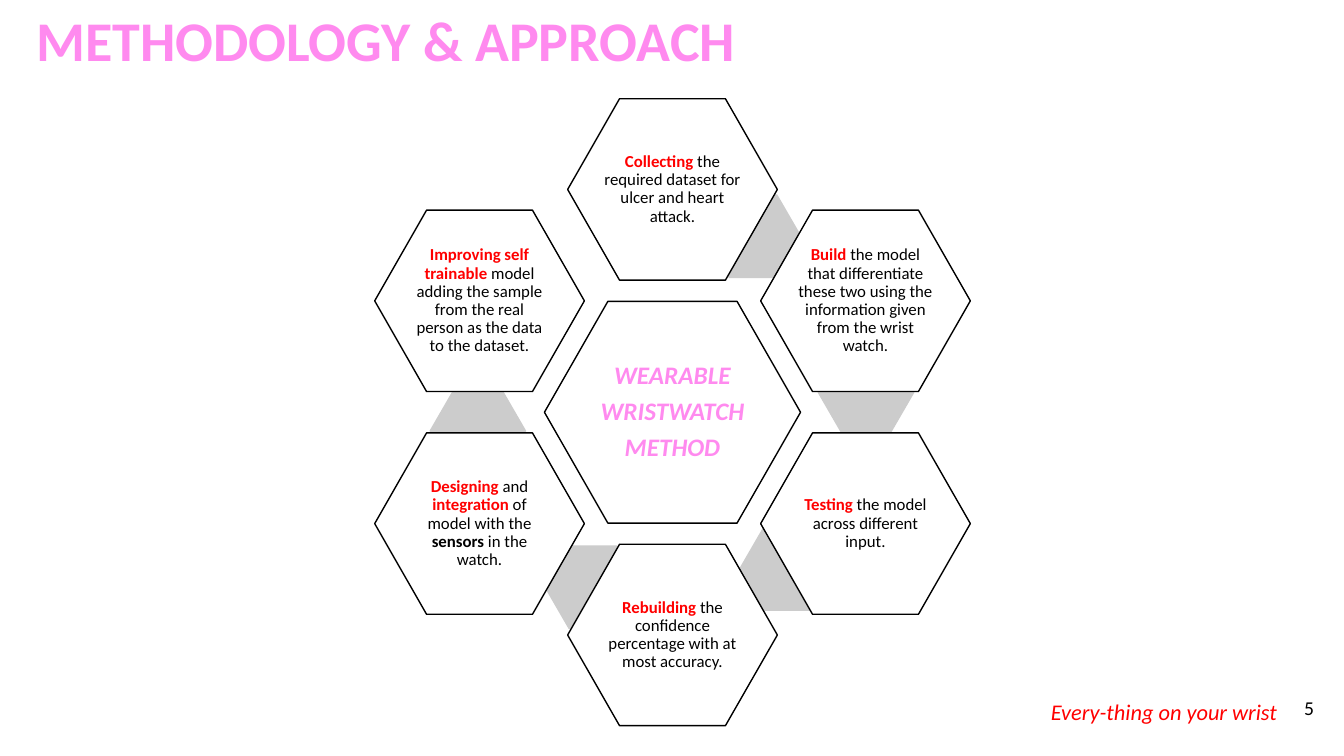
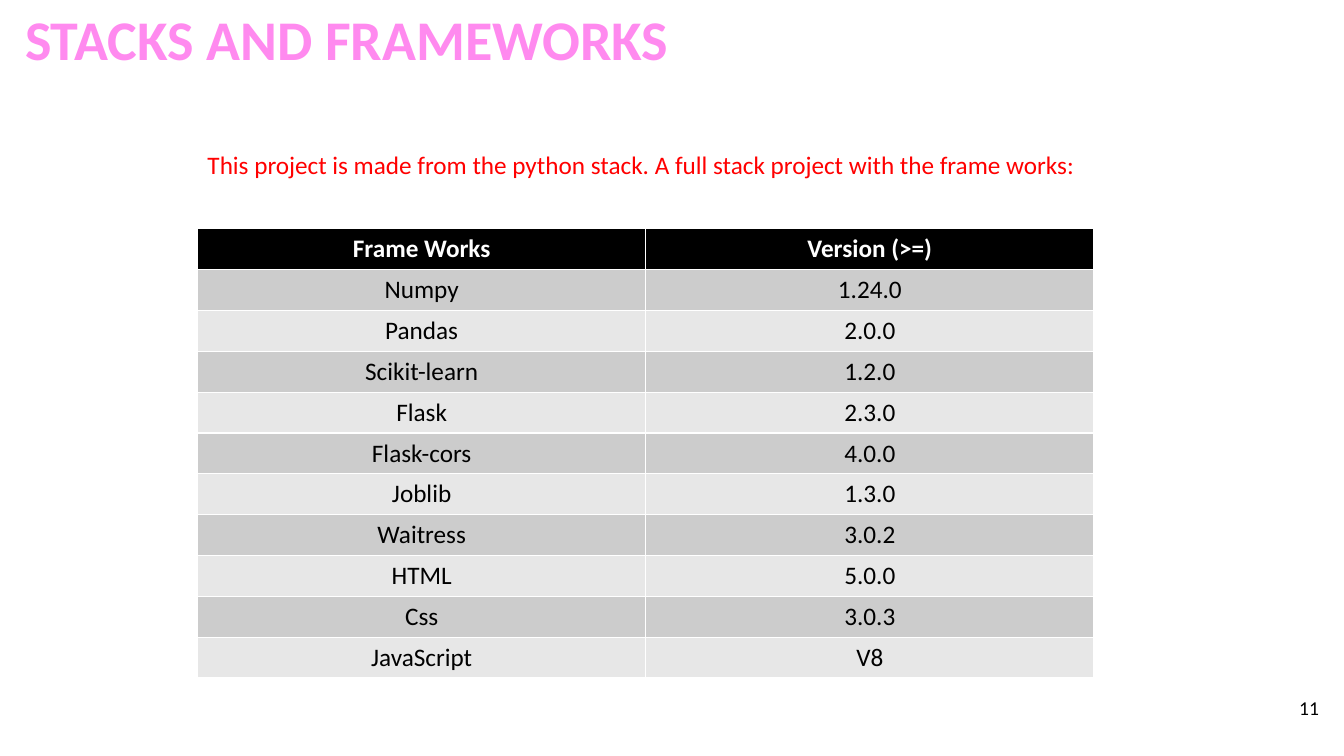
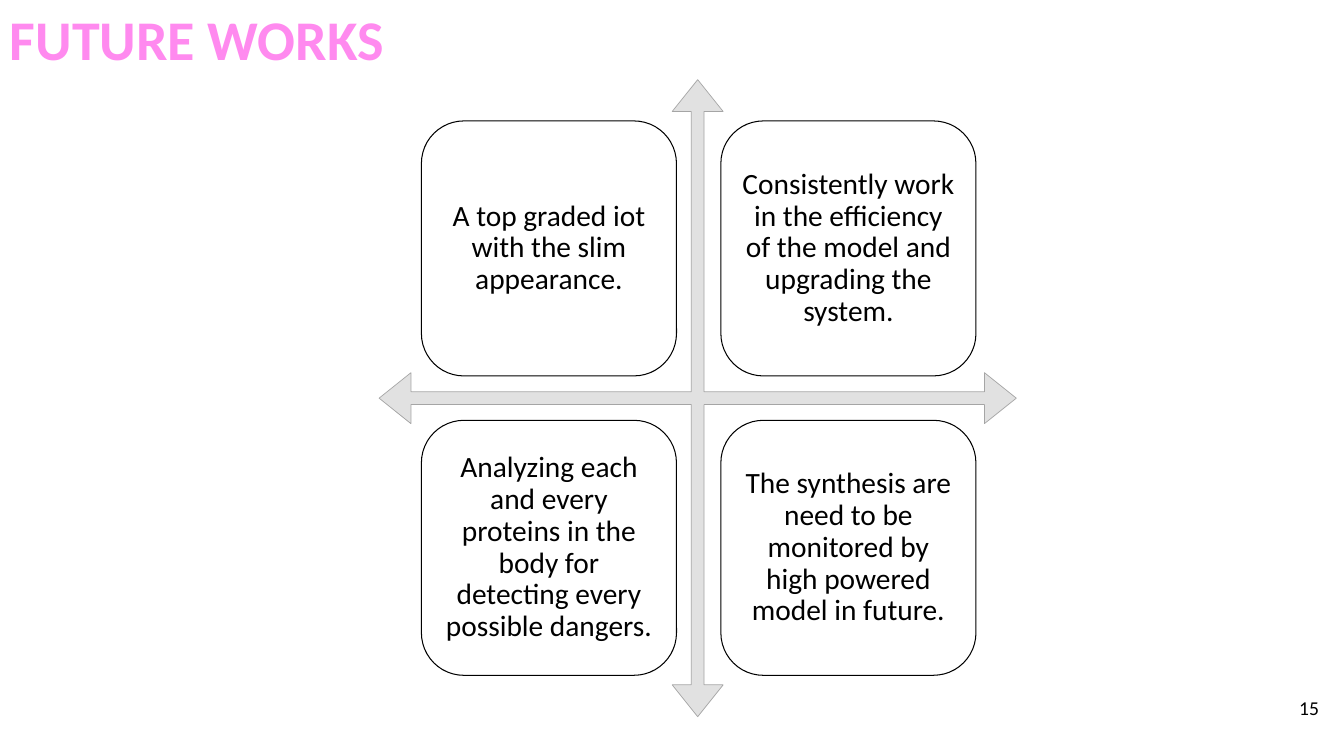
import math

from pptx import Presentation
from pptx.dml.color import RGBColor
from pptx.enum.shapes import MSO_SHAPE
from pptx.enum.text import MSO_ANCHOR, PP_ALIGN
from pptx.util import Inches, Pt

HEXAGON = MSO_SHAPE.HEXAGON
ROUNDED = MSO_SHAPE.ROUNDED_RECTANGLE
QUAD_ARROW = MSO_SHAPE.QUAD_ARROW
LEFT, CENTER = PP_ALIGN.LEFT, PP_ALIGN.CENTER
TOP, MIDDLE = MSO_ANCHOR.TOP, MSO_ANCHOR.MIDDLE

PINK = RGBColor(0xFF, 0x8A, 0xEF)
RED = RGBColor(0xFF, 0x00, 0x00)
BLACK = RGBColor(0x00, 0x00, 0x00)
WHITE = RGBColor(0xFF, 0xFF, 0xFF)
GRAY = RGBColor(0xCC, 0xCC, 0xCC)
PALE_GRAY = RGBColor(0xE7, 0xE7, 0xE7)
ARROW_FILL = RGBColor(0xE1, 0xE1, 0xE1)
ARROW_EDGE = RGBColor(0xA5, 0xA5, 0xA5)

TITLE = {"size": Pt(40), "bold": True, "color": PINK}
PAGE = {"size": Pt(14), "color": BLACK}
TAGLINE = {"size": Pt(16), "italic": True, "color": RED}
INTRO = {"size": Pt(18), "color": RED}
HUB = {"size": Pt(18), "bold": True, "italic": True, "color": PINK}
STEP = {"size": Pt(12), "color": BLACK}
STEP_BOLD = {**STEP, "bold": True}
STEP_KEY = {**STEP_BOLD, "color": RED}
HEADER = {"size": Pt(18), "bold": True, "color": WHITE}
ENTRY = {"size": Pt(18), "bold": False, "color": BLACK}
GOAL = {"size": Pt(21), "color": BLACK}

METHOD_NAME = ["WEARABLE", "WRISTWATCH", "METHOD"]
STEPS = [
    [("Collecting", STEP_KEY), (" the required dataset for ulcer and heart attack.", STEP)],
    [("Build", STEP_KEY),
     (" the model that differentiate these two using the information given from the wrist watch.", STEP)],
    [("Testing", STEP_KEY), (" the model across different input.", STEP)],
    [("Rebuilding", STEP_KEY), (" the confidence percentage with at most accuracy.", STEP)],
    [("Designing", STEP_KEY), (" and ", STEP), ("integration", STEP_KEY),
     (" of model with the ", STEP), ("sensors", STEP_BOLD), (" in the watch.", STEP)],
    [("Improving self trainable ", STEP_KEY),
     ("model adding the sample from the real person as the data to the dataset.", STEP)],
]
LINK_CORNERS = [(6.99, 1.93), (8.11, 3.48), (7.33, 5.23), (5.4, 5.41), (4.26, 3.86)]

FRAMEWORKS = [
    ("Frame Works", "Version (>=)"),
    ("Numpy", "1.24.0"),
    ("Pandas", "2.0.0"),
    ("Scikit-learn", "1.2.0"),
    ("Flask", "2.3.0"),
    ("Flask-cors", "4.0.0"),
    ("Joblib", "1.3.0"),
    ("Waitress", "3.0.2"),
    ("HTML", "5.0.0"),
    ("Css", "3.0.3"),
    ("JavaScript", "V8"),
]

GOALS = [
    "A top graded iot with the slim appearance.",
    "Consistently work in the efficiency of the model and upgrading the system.",
    "Analyzing each and every proteins in the body for detecting every possible dangers.",
    "The synthesis are need to be monitored by high powered model in future.",
]


def write_runs(paragraph, runs, align):
    paragraph.alignment = align
    for text, style in runs:
        run = paragraph.add_run()
        run.text = text
        run.font.name = "Calibri"
        for key, value in style.items():
            if key == "color":
                run.font.color.rgb = value
            else:
                setattr(run.font, key, value)


def add_label(slide, box, text, style, align=LEFT):
    frame = slide.shapes.add_textbox(*map(Inches, box)).text_frame
    frame.word_wrap = True
    frame.vertical_anchor = TOP
    write_runs(frame.paragraphs[0], [(text, style)], align)


def add_figure(slide, kind, box, fill, edge=None, weight=1, adjust=()):
    figure = slide.shapes.add_shape(kind, *map(Inches, box))
    figure.shadow.inherit = False
    figure.fill.solid()
    figure.fill.fore_color.rgb = fill
    if edge is None:
        figure.line.fill.background()
    else:
        figure.line.color.rgb = edge
        figure.line.width = Pt(weight)
    for index, value in enumerate(adjust):
        figure.adjustments[index] = value
    return figure


def fill_figure(figure, paragraphs, margin):
    frame = figure.text_frame
    frame.word_wrap = True
    frame.vertical_anchor = MIDDLE
    for side in ("left", "top", "right", "bottom"):
        setattr(frame, f"margin_{side}", Inches(margin))
    for index, runs in enumerate(paragraphs):
        paragraph = frame.add_paragraph() if index else frame.paragraphs[0]
        paragraph.line_spacing = 0.9
        paragraph.space_after = int(runs[0][1]["size"] * 0.35)
        write_runs(paragraph, runs, CENTER)


def add_page(deck, title, number, left=0, top=0):
    slide = deck.slides.add_slide(deck.slide_layouts[6])
    add_label(slide, (left, top, 12.95, 0.77), title, TITLE)
    add_label(slide, (12.75, 6.85, 0.47, 0.34), number, PAGE, CENTER)
    return slide


def add_hexagon(slide, center_x, center_y, width, height, paragraphs, margin):
    box = (center_x - width / 2, center_y - height / 2, width, height)
    hexagon = add_figure(slide, HEXAGON, box, WHITE, BLACK, 1, [0.286])
    fill_figure(hexagon, paragraphs, margin)


def build_methodology(deck):
    slide = add_page(deck, "METHODOLOGY & APPROACH", "5", 0.26, 0.01)
    center_x, center_y, radius = 6.67, 4.09, 2.21
    add_hexagon(slide, center_x, center_y, 2.54, 2.2,
                [[(line, HUB)] for line in METHOD_NAME], 0.02)
    for index, runs in enumerate(STEPS):
        if index < len(LINK_CORNERS):
            add_figure(slide, HEXAGON, (*LINK_CORNERS[index], 0.96, 0.83), GRAY, adjust=[0.289])
        angle = math.radians(60 * index)
        add_hexagon(slide, center_x + radius * math.sin(angle),
                    center_y - radius * math.cos(angle), 2.08, 1.8, [runs], 0.01)
    add_label(slide, (10.28, 6.88, 2.53, 0.37), "Every-thing on your wrist", TAGLINE, CENTER)


def build_frameworks(deck):
    slide = add_page(deck, "STACKS AND FRAMEWORKS", "11", 0.15)
    add_label(slide, (1.96, 1.43, 8.97, 0.4),
              "This project is made from the python stack. A full stack project with the frame works:",
              INTRO)
    table = slide.shapes.add_table(len(FRAMEWORKS), 2, Inches(1.96), Inches(2.27),
                                   Inches(8.89), Inches(4.46)).table
    for row, entries in enumerate(FRAMEWORKS):
        band = BLACK if row == 0 else (PALE_GRAY, GRAY)[row % 2]
        for column, text in enumerate(entries):
            cell = table.cell(row, column)
            cell.fill.solid()
            cell.fill.fore_color.rgb = band
            write_runs(cell.text_frame.paragraphs[0], [(text, ENTRY if row else HEADER)], CENTER)


def build_future(deck):
    slide = add_page(deck, "FUTURE WORKS", "15")
    add_figure(slide, QUAD_ARROW, (3.76, 0.79, 6.32, 6.32), ARROW_FILL, ARROW_EDGE, 0.5,
               [0.02, 0.04, 0.05])
    side, pitch = 2.53, 2.97
    for index, goal in enumerate(GOALS):
        row, column = divmod(index, 2)
        box = (4.18 + column * pitch, 1.2 + row * pitch, side, side)
        card = add_figure(slide, ROUNDED, box, WHITE, BLACK, 0.75)
        fill_figure(card, [[(goal, GOAL)]], 0.09)


def main():
    deck = Presentation()
    deck.slide_width, deck.slide_height = Inches(13.33), Inches(7.5)
    build_methodology(deck)
    build_frameworks(deck)
    build_future(deck)
    deck.save("out.pptx")


if __name__ == "__main__":
    main()
